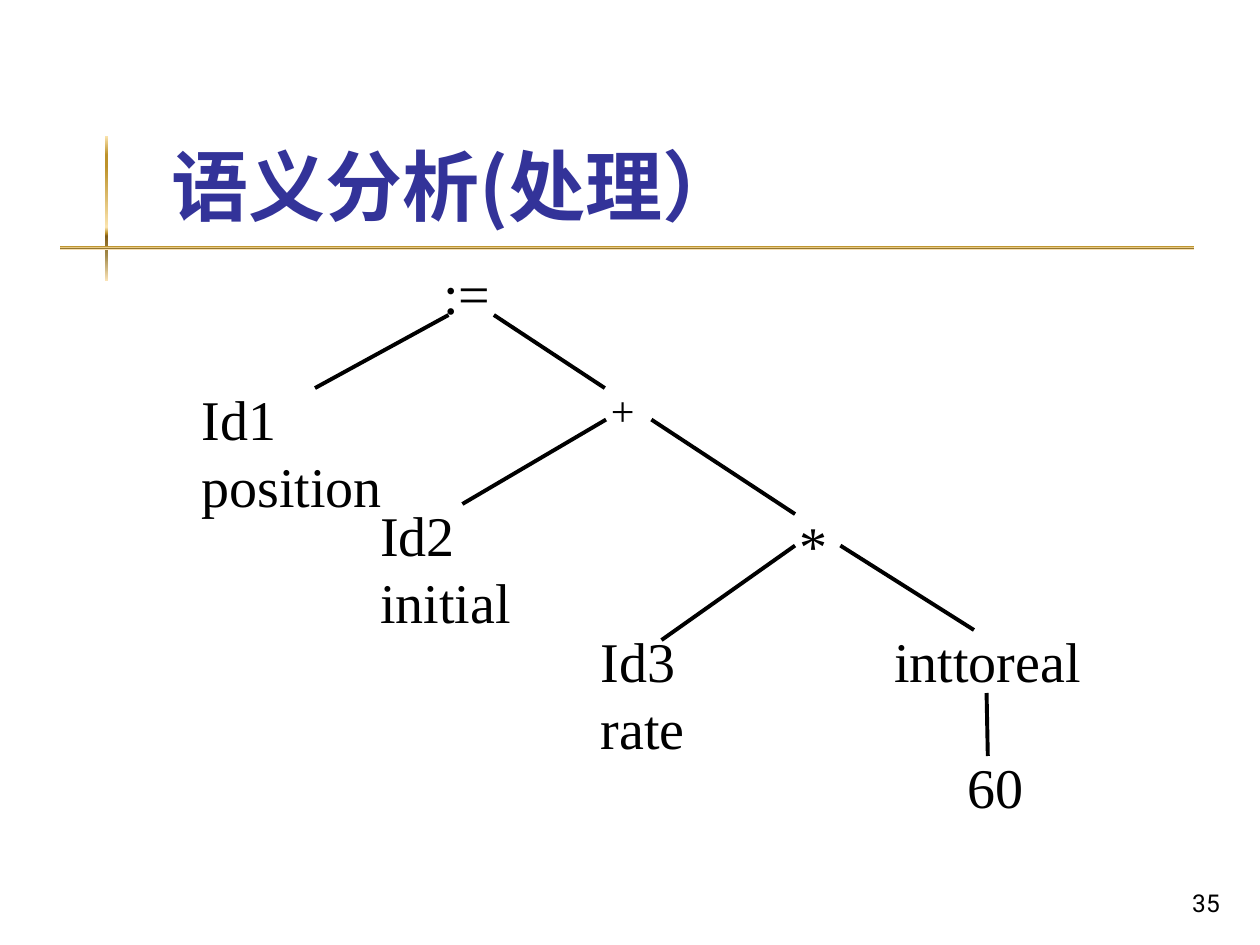
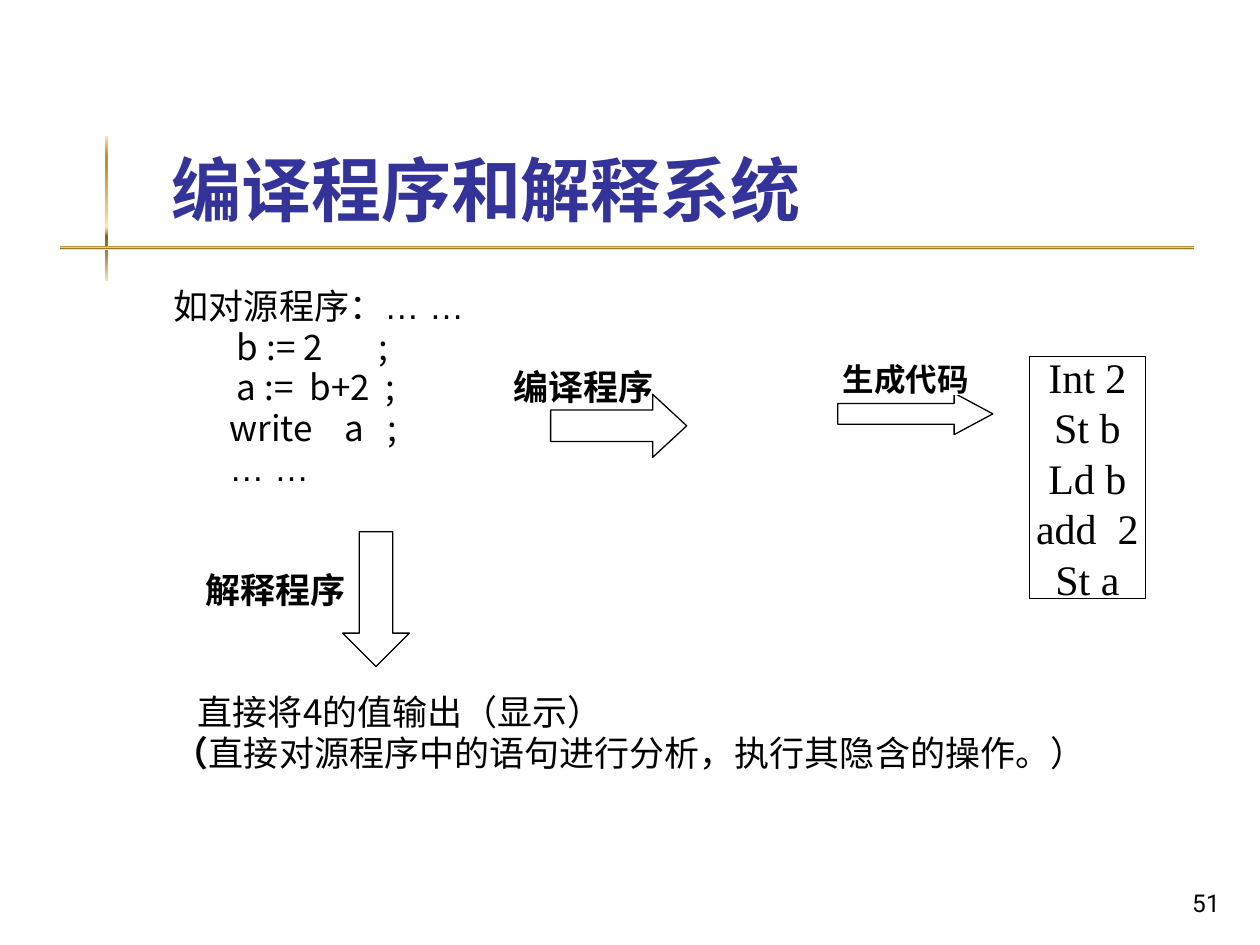
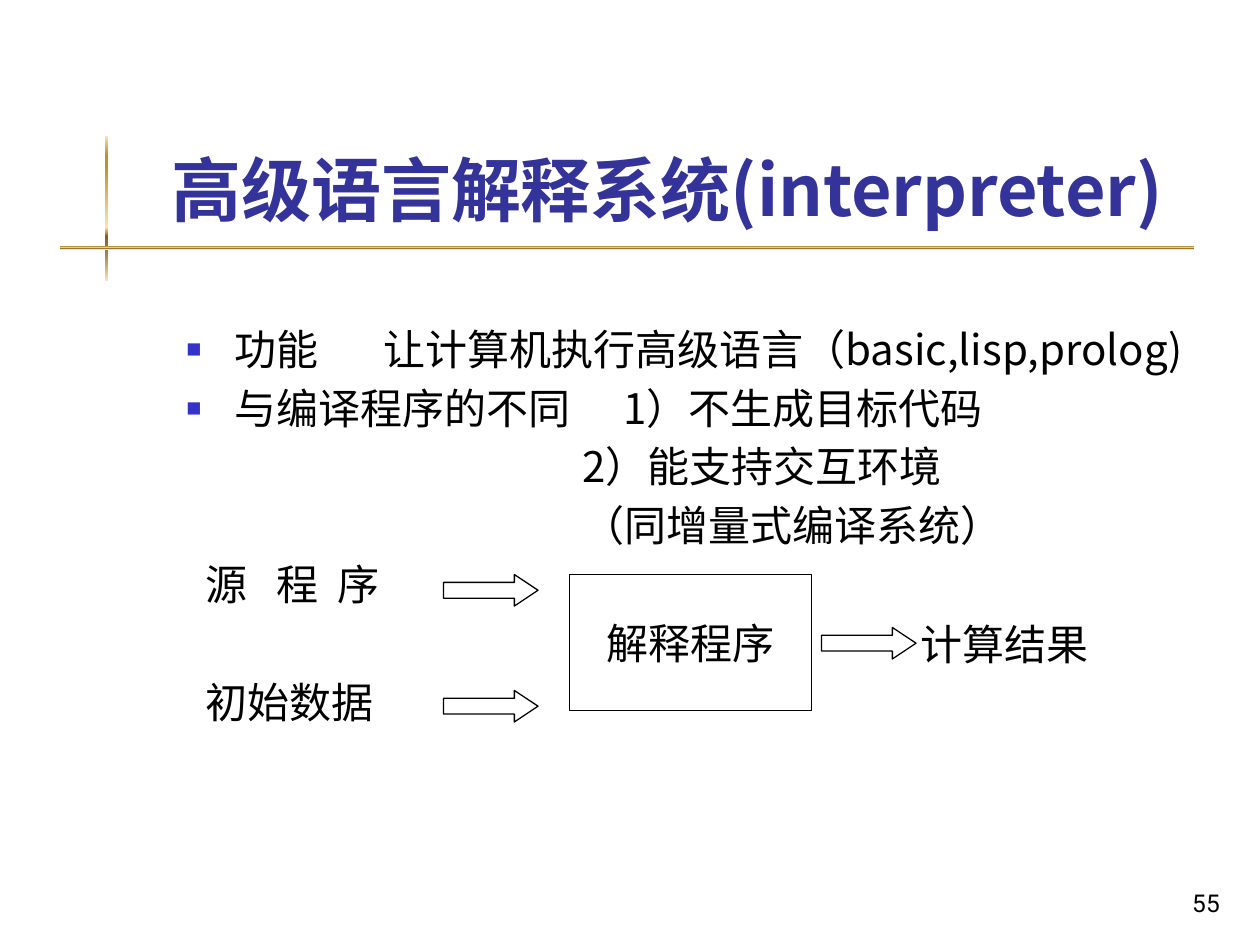
from lxml import etree
from pptx import Presentation
from pptx.dml.color import RGBColor
from pptx.enum.shapes import MSO_CONNECTOR, MSO_SHAPE
from pptx.enum.text import MSO_ANCHOR, MSO_AUTO_SIZE, PP_ALIGN
from pptx.oxml.ns import qn
from pptx.util import Inches, Pt

RECT = MSO_SHAPE.RECTANGLE
RIGHT = MSO_SHAPE.RIGHT_ARROW
DOWN = MSO_SHAPE.DOWN_ARROW
LINE = MSO_CONNECTOR.STRAIGHT
BOTTOM, MIDDLE, TOP = MSO_ANCHOR.BOTTOM, MSO_ANCHOR.MIDDLE, MSO_ANCHOR.TOP
LEFT, CENTER, END = PP_ALIGN.LEFT, PP_ALIGN.CENTER, PP_ALIGN.RIGHT
FIXED = MSO_AUTO_SIZE.NONE

COLORS = {"ink": "000000", "paper": "FFFFFF", "title": "333399", "bullet": "3333CC"}
GOLD = [(0, "FBE4AE"), (13, "BD922A"), (21, "BD922A"), (63, "FBE4AE"),
        (67, "BD922A"), (69, "835E17"), (82, "A28949"), (100, "FAE3B7")]
BANDS = [(0.83, 1.08, 0.03, 1.15), (0.48, 1.95, 9, 0.03)]
SANS, SERIF, PLAIN, DIGIT = "Noto Sans CJK JP", "Times New Roman", "Arial", "Roboto"


def color(name):
    return RGBColor.from_string(COLORS[name])


def box(at):
    return [Inches(v) for v in at]


def place(shape, at):
    shape.left, shape.top, shape.width, shape.height = box(at)


def child(parent, tag, **attrs):
    return etree.SubElement(parent, qn(tag), attrs)


def add_run(para, text, size, face=SANS, bold=False, ink="ink", gap=0):
    run = para.add_run()
    run.text = text
    font = run.font
    font.size, font.bold, font.name = Pt(size), bold, face
    font.color.rgb = color(ink)
    props = run._r.get_or_add_rPr()
    child(props, "a:ea", typeface=face)
    if gap:
        props.set("spc", str(round(gap * 100)))


def set_para(para, pitch, align=LEFT, before=0):
    para.alignment = align
    para.line_spacing = Pt(pitch)
    para.space_before = Pt(before)


def set_frame(frame, anchor, wrap=True):
    frame.auto_size = FIXED
    frame.word_wrap = wrap
    frame.vertical_anchor = anchor


def fill_lines(frame, lines, size, face, align, bold=False):
    for i, line in enumerate(lines):
        para = frame.paragraphs[0] if i == 0 else frame.add_paragraph()
        set_para(para, size * 1.2, align)
        for part in line if isinstance(line, tuple) else (line,):
            add_part(para, part, size, face, bold)


def add_part(para, part, size, face=SANS, bold=False):
    if isinstance(part, (int, float)):
        add_run(para, " ", size, face, gap=part)
    elif part.startswith("**"):
        add_run(para, part[2:], size, face, True)
    else:
        add_run(para, part, size, PLAIN if part == "… …" else face, bold)


def add_label(slide, at, text, size=32, face=SERIF, align=LEFT, anchor=TOP):
    label = slide.shapes.add_textbox(*box(at))
    set_frame(label.text_frame, anchor)
    fill_lines(label.text_frame, [text], size, face, align)


def add_form(slide, kind, at, line="ink"):
    form = slide.shapes.add_shape(kind, *box(at))
    form.shadow.inherit = False
    form.fill.solid()
    form.fill.fore_color.rgb = color("paper")
    form.line.color.rgb = color(line)
    form.line.width = Pt(0.75)
    return form


def add_arrow(slide, kind, at, head):
    arrow = add_form(slide, kind, at)
    arrow.adjustments[0], arrow.adjustments[1] = 0.5, head


def add_block(slide, at, lines, size=24, face=SANS, line="ink", bold=False):
    frame = add_form(slide, RECT, at, line).text_frame
    set_frame(frame, MIDDLE, False)
    fill_lines(frame, lines, size, face, CENTER, bold)


def add_edge(slide, x1, y1, x2, y2):
    edge = slide.shapes.add_connector(LINE, *box((x1, y1, x2, y2)))
    edge.line.color.rgb = color("ink")
    edge.line.width = Pt(2.25)
    child(edge.element.spPr, "a:effectLst")


def add_band(slide, at):
    band = slide.shapes.add_shape(RECT, *box(at))
    band.shadow.inherit = False
    band.line.fill.background()
    band.fill.gradient()
    band.fill.gradient_angle = 270
    stops = band.element.spPr.find(qn("a:gradFill")).find(qn("a:gsLst"))
    for stop in list(stops):
        stops.remove(stop)
    for pos, tone in GOLD:
        child(child(stops, "a:gs", pos=str(pos * 1000)), "a:srgbClr", val=tone)


def add_slide(deck, layout, title, number, size=40):
    slide = deck.slides.add_slide(deck.slide_layouts[layout])
    for at in BANDS:
        add_band(slide, at)
    head = slide.shapes.title
    place(head, (1.26, 0.23, 8.52, 1.6))
    frame = head.text_frame
    set_frame(frame, BOTTOM)
    frame.margin_bottom = 0
    frame.paragraphs[0].alignment = LEFT
    add_run(frame.paragraphs[0], title, size, bold=True, ink="title")
    add_label(slide, (7.7, 6.83, 2.08, 0.5), number, 14, DIGIT, END, BOTTOM)
    return slide


def set_bullet(para, indent, marked):
    props = para._p.get_or_add_pPr()
    hang = 0.38 if marked else 0
    props.set("marL", str(Inches(hang or indent)))
    props.set("indent", str(Inches(-hang)))
    if marked:
        child(child(props, "a:buClr"), "a:srgbClr", val=COLORS["bullet"])
        child(props, "a:buSzPct", val="60000")
        child(props, "a:buChar", char="■")
    else:
        child(props, "a:buNone")


def fill_body(slide, at, rows, size, pitch, inset):
    body = slide.placeholders[1]
    place(body, at)
    frame = body.text_frame
    set_frame(frame, TOP)
    frame.margin_top = Inches(inset)
    for i, (indent, skip, parts) in enumerate(rows):
        para = frame.paragraphs[0] if i == 0 else frame.add_paragraph()
        set_para(para, pitch, before=skip * pitch)
        set_bullet(para, indent or 0, indent is None)
        for part in parts:
            add_part(para, part, size)


def draw_tree(deck):
    slide = add_slide(deck, 5, "语义分析(处理）", "35", 44)
    nodes = [(7.58, 5.92, 0.67, 0.64, "60"), (3.42, 2, 0.71, 0.64, ":="),
             (6.25, 4, 0.71, 0.64, "*"), (1.5, 3, 1.76, 1.18, "Id1 position"),
             (2.92, 3.92, 1.32, 1.18, "Id2 initial"),
             (4.67, 4.92, 0.97, 1.18, "Id3 rate"),
             (7, 4.92, 1.75, 0.64, "inttoreal")]
    for *at, text in nodes:
        add_label(slide, at, text)
    add_label(slide, (4.75, 3, 0.71, 0.51), "+", 24)
    edges = [(2.5, 3.08, 3.56, 2.5), (3.92, 2.5, 4.8, 3.08),
             (4.81, 3.33, 3.67, 4), (5.17, 3.33, 6.31, 4.08),
             (6.67, 4.33, 7.73, 5), (6.31, 4.33, 5.25, 5.08),
             (7.83, 5.5, 7.84, 6)]
    for edge in edges:
        add_edge(slide, *edge)


def draw_systems(deck):
    slide = add_slide(deck, 1, "编译程序和解释系统", "51")
    rows = [(0, 0, ["如对源程序：", "… …"]),
            (0.5, 0, ["b := 2", 27, ";"]),
            (0.5, 0, ["a :=", 4.5, "b+2", 4.5, ";", 63, "**编译程序"]),
            (0.44, 0, ["write", 13.5, "a", 9, ";"]),
            (0.44, 0, ["… …"]),
            (0.25, 2, ["**解释程序"]),
            (0.19, 2, ["直接将4的值输出（显示）"]),
            (0, 0, ["**（", "直接对源程序中的语句进行分析，执行其隐含的操作。）"])]
    fill_body(slide, (1.28, 1.86, 8.5, 5.12), rows, 20, 23.2, 0.41)
    add_arrow(slide, RIGHT, (4.37, 3.13, 1.08, 0.5), 0.54)
    code = ["Int 2", "St b", "Ld b", ("add", 6, "2"), "St a"]
    add_block(slide, (8.17, 2.83, 0.92, 1.92), code, face=SERIF)
    add_arrow(slide, RIGHT, (6.65, 3.12, 1.23, 0.33), 0.93)
    add_block(slide, (6.73, 2.88, 0.92, 0.25), ["生成代码"], 18, line="paper", bold=True)
    add_arrow(slide, DOWN, (2.72, 4.22, 0.53, 1.07), 0.5)


def draw_reader(deck):
    slide = add_slide(deck, 1, "高级语言解释系统(interpreter)", "55")
    rows = [(None, 0, ["功能", 32, "让计算机执行高级语言（basic,lisp,prolog)"]),
            (None, 0, ["与编译程序的不同", 25, "1）不生成目标代码"]),
            (3.14, 0, ["2）能支持交互环境"]),
            (3.14, 0, ["（同增量式编译系统）"]),
            (0.15, 0, ["源", 11, "程", 5.5, "序"]),
            (0.15, 1, ["初始数据"])]
    fill_body(slide, (1.38, 2.48, 8.5, 4.5), rows, 24, 33.6, 0.02)
    add_block(slide, (4.52, 4.56, 1.92, 1.08), ["解释程序"])
    add_block(slide, (7.35, 4.9, 1.25, 0.42), ["计算结果"], line="paper")
    for x, y in [(3.52, 4.56), (3.52, 5.48), (6.52, 4.98)]:
        add_arrow(slide, RIGHT, (x, y, 0.75, 0.25), 0.75)


def main():
    deck = Presentation()
    deck.slide_width, deck.slide_height = Inches(10), Inches(7.5)
    draw_tree(deck)
    draw_systems(deck)
    draw_reader(deck)
    deck.save("out.pptx")


if __name__ == "__main__":
    main()
